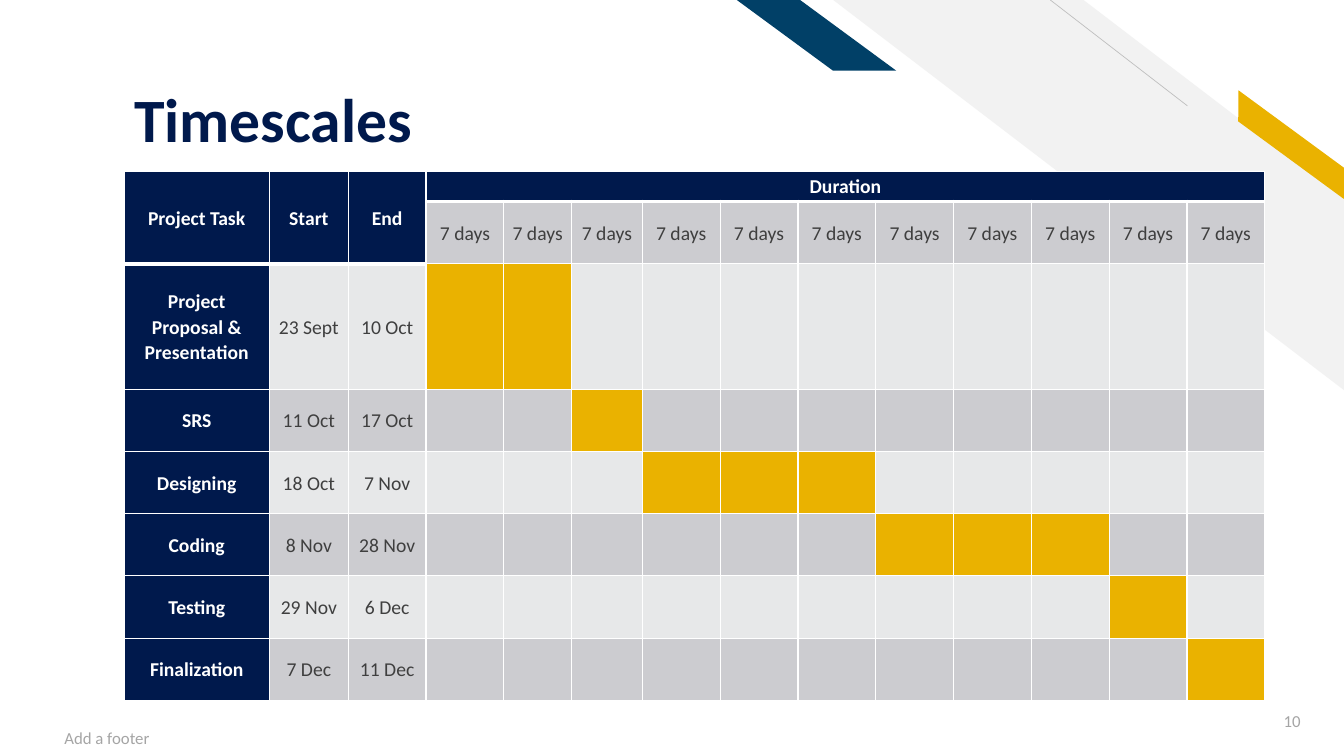
from dataclasses import dataclass

from lxml.etree import SubElement
from pptx import Presentation
from pptx.dml.color import RGBColor
from pptx.enum.shapes import MSO_CONNECTOR, MSO_SHAPE
from pptx.enum.text import MSO_ANCHOR, MSO_AUTO_SIZE, PP_ALIGN
from pptx.oxml.ns import qn
from pptx.util import Inches, Pt

# The page is a grid of 40 columns and 30 rows.
PAGE_WIDTH, PAGE_HEIGHT = Inches(13.33), Inches(7.5)
COLUMN, ROW = PAGE_WIDTH / 40, PAGE_HEIGHT / 30

NAVY, TEAL, GOLD, WHITE = "00194C", "014067", "EAB200", "FFFFFF"
PALE, HAIRLINE, MUTED, INK = "F2F2F2", "BFBFBF", "A5A5A5", "3F3F3F"
BANDS = ("E7E8E9", "CCCCD0")
BODY_FONT = "Calibri"


@dataclass(frozen=True)
class Area:
    left: float
    top: float
    width: float
    height: float

    def lengths(self) -> tuple[int, int, int, int]:
        return (int(self.left * COLUMN), int(self.top * ROW),
                int(self.width * COLUMN), int(self.height * ROW))


@dataclass(frozen=True)
class Band:
    preset: MSO_SHAPE
    area: Area
    adjustment: float
    color: str
    rotation: float = 0


@dataclass(frozen=True)
class Label:
    text: str
    area: Area
    align: PP_ALIGN


@dataclass(frozen=True)
class Task:
    name: str
    start: str
    end: str
    first_week: int
    weeks: int


STRIPE = Band(MSO_SHAPE.DIAGONAL_STRIPE, Area(24.8, 0, 15.2, 15.48), 0.51, PALE)
ACCENTS = (
    Band(MSO_SHAPE.PARALLELOGRAM, Area(36.21, 5.24, 4.44, 1), 0.72, GOLD, 36.3),
    Band(MSO_SHAPE.PARALLELOGRAM, Area(21.93, 0, 4.74, 2.8), 1.36, TEAL),
)
LABELS = (
    Label("10", Area(36.57, 27.8, 2.43, 1.6), PP_ALIGN.RIGHT),
    Label("Add a footer", Area(1.62, 28.48, 13.5, 1.6), PP_ALIGN.LEFT),
)
TITLE_AREA = Area(3.69, 2.88, 27.33, 3.32)

TABLE_AREA = Area(3.69, 6.8, 33.96, 21)
HEADINGS = ("Project Task", "Start", "End")
WEEK_COUNT = 11
FIRST_WEEK_COLUMN = len(HEADINGS)
HEADER_ROWS = 2
COLUMN_SHARES = (1.44, 0.78, 0.77, 0.77, 0.67, 0.7) + (0.77,) * 8
ROW_SHARES = (0.3, 0.62, 1.25) + (0.62,) * 5
TASKS = (
    Task("Project Proposal & Presentation", "23 Sept", "10 Oct", 0, 2),
    Task("SRS", "11 Oct", "17 Oct", 2, 1),
    Task("Designing", "18 Oct", "7 Nov", 3, 3),
    Task("Coding", "8 Nov", "28 Nov", 6, 3),
    Task("Testing", "29 Nov", "6 Dec", 9, 1),
    Task("Finalization", "7 Dec", "11 Dec", 10, 1),
)


def paint(target, color: str) -> None:
    """Give a fill or line format one solid colour."""
    target.solid()
    target.fore_color.rgb = RGBColor.from_string(color)


def style_font(font, size: float, color: str, bold: bool) -> None:
    font.name, font.size, font.bold = BODY_FONT, Pt(size), bold
    font.color.rgb = RGBColor.from_string(color)


def add_band(page, band: Band) -> None:
    """Draw a slanted band, mirrored left to right."""
    shape = page.shapes.add_shape(band.preset, *band.area.lengths())
    shape.shadow.inherit = False
    shape.adjustments[0] = band.adjustment
    shape.rotation = band.rotation
    shape._element.spPr.find(qn("a:xfrm")).set("flipH", "1")
    paint(shape.fill, band.color)
    shape.line.fill.background()


def add_hairline(page) -> None:
    line = page.shapes.add_connector(
        MSO_CONNECTOR.STRAIGHT, int(35.34 * COLUMN), int(4.2 * ROW),
        int(31.26 * COLUMN), 0)
    paint(line.line.fill, HAIRLINE)
    line.line.width = Pt(0.5)
    SubElement(line._element.spPr, qn("a:effectLst"))


def add_label(page, label: Label) -> None:
    box = page.shapes.add_textbox(*label.area.lengths())
    frame = box.text_frame
    frame.word_wrap = True
    frame.vertical_anchor = MSO_ANCHOR.MIDDLE
    para = frame.paragraphs[0]
    para.text, para.alignment = label.text, label.align
    style_font(para.font, 12, MUTED, False)


def set_title(page) -> None:
    title = page.shapes.title
    title.left, title.top, title.width, title.height = TITLE_AREA.lengths()
    frame = title.text_frame
    frame.auto_size = MSO_AUTO_SIZE.NONE
    frame.vertical_anchor = MSO_ANCHOR.BOTTOM
    frame.margin_bottom = 0
    para = frame.paragraphs[0]
    para.text, para.alignment, para.line_spacing = "Timescales", PP_ALIGN.LEFT, 0.9
    style_font(para.font, 44, NAVY, True)


def format_cell(cell, color: str, top: float = 1, bottom: float = 1) -> None:
    """Set white borders, with widths in points, and then the fill."""
    properties = cell._tc.get_or_add_tcPr()
    for side, width in (("L", 1), ("R", 1), ("T", top), ("B", bottom)):
        border = SubElement(properties, qn(f"a:ln{side}"), w=str(Pt(width)))
        solid = SubElement(border, qn("a:solidFill"))
        SubElement(solid, qn("a:srgbClr"), val=WHITE)
    paint(cell.fill, color)


def write_cell(cell, text: str, heading: bool = False) -> None:
    cell.vertical_anchor = MSO_ANCHOR.MIDDLE
    cell.margin_left = cell.margin_right = Inches(0.07)
    cell.margin_top = cell.margin_bottom = 0
    para = cell.text_frame.paragraphs[0]
    para.text, para.alignment, para.line_spacing = text, PP_ALIGN.CENTER, 1.07
    style_font(para.font, 14, WHITE if heading else INK, heading)


def fill_header(table) -> None:
    for column in range(len(COLUMN_SHARES)):
        is_week = column >= FIRST_WEEK_COLUMN
        format_cell(table.cell(0, column), NAVY, bottom=3)
        below = table.cell(1, column)
        if is_week:
            format_cell(below, BANDS[1], top=3)
            write_cell(below, "7 days")
        else:
            format_cell(below, NAVY, bottom=3)
            table.cell(0, column).merge(below)
            write_cell(table.cell(0, column), HEADINGS[column], heading=True)
    duration = table.cell(0, FIRST_WEEK_COLUMN)
    duration.merge(table.cell(0, len(COLUMN_SHARES) - 1))
    write_cell(duration, "Duration", heading=True)


def fill_task(table, index: int, task: Task) -> None:
    row, band = index + HEADER_ROWS, BANDS[index % 2]
    for column, text in enumerate((task.name, task.start, task.end)):
        cell = table.cell(row, column)
        format_cell(cell, band if column else NAVY, top=1 if index else 3)
        write_cell(cell, text, heading=column == 0)
    busy = range(task.first_week, task.first_week + task.weeks)
    for week in range(WEEK_COUNT):
        format_cell(table.cell(row, FIRST_WEEK_COLUMN + week),
                    GOLD if week in busy else band)


def add_schedule(page) -> None:
    lengths = TABLE_AREA.lengths()
    table = page.shapes.add_table(len(ROW_SHARES), len(COLUMN_SHARES), *lengths).table
    table.first_row = table.horz_banding = False
    for column, share in zip(table.columns, COLUMN_SHARES):
        column.width = int(lengths[2] * share / sum(COLUMN_SHARES))
    for row, share in zip(table.rows, ROW_SHARES):
        row.height = int(lengths[3] * share / sum(ROW_SHARES))
    fill_header(table)
    for index, task in enumerate(TASKS):
        fill_task(table, index, task)


def main() -> None:
    deck = Presentation()
    deck.slide_width, deck.slide_height = PAGE_WIDTH, PAGE_HEIGHT
    page = deck.slides.add_slide(deck.slide_layouts.get_by_name("Title Only"))
    add_band(page, STRIPE)
    add_hairline(page)
    for band in ACCENTS:
        add_band(page, band)
    set_title(page)
    for label in LABELS:
        add_label(page, label)
    add_schedule(page)
    deck.save("out.pptx")


if __name__ == "__main__":
    main()
